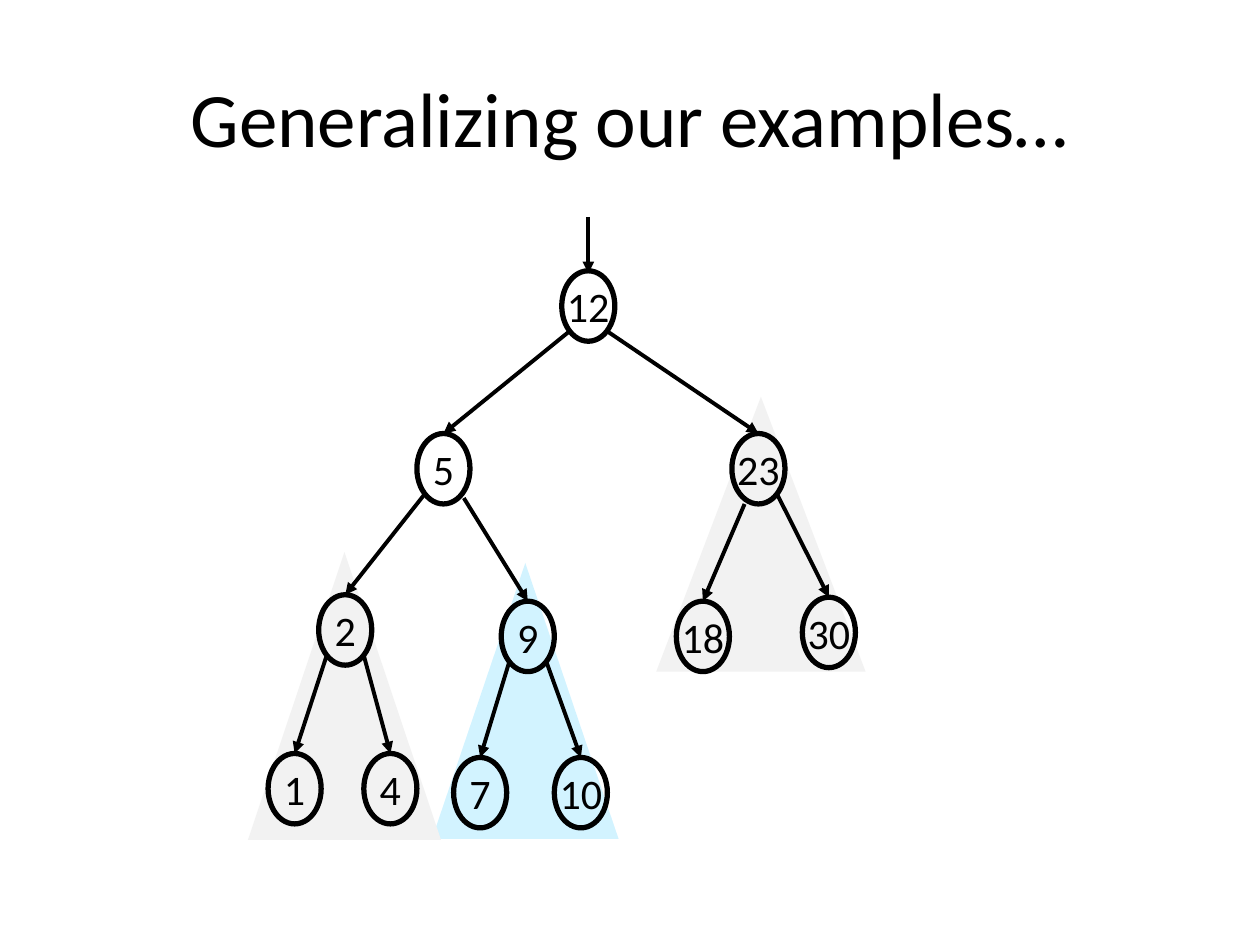
import pptx
import pptx.util
import pptx.dml.color
import pptx.enum.shapes
import pptx.enum.text
import pptx.oxml
import pptx.oxml.ns
from pptx.util import Cm

FONT = "Calibri"
BLACK, GREY, BLUE = "000000", "F2F2F2", "D2F3FF"
NODE_WIDTH, NODE_HEIGHT = 1.07, 1.42
START_X, START_Y = 0.37, 1.21

SUBTREES = [
    (13.23, 8.0, 4.22, 5.54, GREY),
    (8.71, 11.35, 3.76, 5.56, BLUE),
    (5.0, 11.13, 3.89, 5.8, GREY),
]
NODES = {
    "12": (11.86, 5.46),
    "5": (8.94, 8.74),
    "23": (15.29, 8.74),
    "2": (6.96, 11.99),
    "9": (10.64, 12.12),
    "18": (14.17, 12.12),
    "30": (16.71, 12.04),
    "1": (5.94, 15.19),
    "4": (7.87, 15.19),
    "7": (9.68, 15.27),
    "10": (11.71, 15.27),
}
CHILDREN = {
    "12": ("5", "23"),
    "5": ("2", "9"),
    "23": ("18", "30"),
    "2": ("1", "4"),
    "9": ("7", "10"),
}
EDGE_STARTS = {"9": (0.41, 1.3), "18": (0.28, 1.42)}


def color(value):
    """Return the colour for a hex string."""
    return pptx.dml.color.RGBColor.from_string(value)


def apply_format(target, values):
    """Set each named attribute of the target."""
    for name, value in values.items():
        setattr(target, name, value)


def write_text(shape, text, size):
    """Write one centred black paragraph into a shape."""
    para = shape.text_frame.paragraphs[0]
    para.alignment = pptx.enum.text.PP_ALIGN.CENTER
    span = para.add_run()
    span.text = text
    apply_format(span.font, {"name": FONT, "size": pptx.util.Pt(size), "bold": False})
    span.font.color.rgb = color(BLACK)


def set_title(page, text):
    """Place and fill the title placeholder."""
    title = page.shapes.title
    apply_format(title, {"left": Cm(1.27), "top": Cm(0.76),
                         "width": Cm(22.86), "height": Cm(3.18)})
    title.text_frame.vertical_anchor = pptx.enum.text.MSO_ANCHOR.MIDDLE
    write_text(title, text, 44)


def add_subtree(page, left, top, width, height, fill):
    """Add a borderless triangle behind a subtree."""
    triangle = page.shapes.add_shape(
        pptx.enum.shapes.MSO_SHAPE.ISOSCELES_TRIANGLE,
        Cm(left), Cm(top), Cm(width), Cm(height))
    triangle.shadow.inherit = False
    triangle.fill.solid()
    triangle.fill.fore_color.rgb = color(fill)
    triangle.line.fill.background()


def add_node(tree, label, center, top):
    """Add an outlined oval holding a key."""
    node = tree.shapes.add_shape(
        pptx.enum.shapes.MSO_SHAPE.OVAL, Cm(center - NODE_WIDTH / 2), Cm(top),
        Cm(NODE_WIDTH), Cm(NODE_HEIGHT))
    node.shadow.inherit = False
    node.fill.background()
    node.line.color.rgb = color(BLACK)
    node.line.width = pptx.util.Pt(3)
    apply_format(node.text_frame, {
        "word_wrap": False, "vertical_anchor": pptx.enum.text.MSO_ANCHOR.MIDDLE})
    write_text(node, label, 24)


def add_arrow(tree, start, end):
    """Add a straight line with an arrowhead at its end."""
    arrow = tree.shapes.add_connector(
        pptx.enum.shapes.MSO_CONNECTOR.STRAIGHT, *map(Cm, start + end))
    arrow.line.color.rgb = color(BLACK)
    arrow.line.width = pptx.util.Pt(2.25)
    head = pptx.oxml.parse_xml(
        f'<a:tailEnd {pptx.oxml.ns.nsdecls("a")} type="triangle"/>')
    arrow.line._get_or_add_ln().append(head)
    arrow._element.spPr.append(
        pptx.oxml.parse_xml(f'<a:effectLst {pptx.oxml.ns.nsdecls("a")}/>'))


def add_edges(tree, parent, children):
    """Join a parent to the tops of its left and right children."""
    x, y = NODES[parent]
    for side, child in zip((-1, 1), children):
        across, down = EDGE_STARTS.get(child, (START_X, START_Y))
        add_arrow(tree, (x + side * across, y + down), NODES[child])


def main():
    """Build the slide and save the deck."""
    deck = pptx.Presentation()
    apply_format(deck, {"slide_width": Cm(25.4), "slide_height": Cm(19.05)})
    page = deck.slides.add_slide(deck.slide_layouts.get_by_name("Title Only"))
    set_title(page, "Generalizing our examples…")
    for subtree in SUBTREES:
        add_subtree(page, *subtree)
    tree = page.shapes.add_group_shape()
    for label, (center, top) in NODES.items():
        add_node(tree, label, center, top)
    for parent, children in CHILDREN.items():
        add_edges(tree, parent, children)
    root_x, root_y = NODES["12"]
    add_arrow(tree, (root_x, root_y - 1.09), (root_x, root_y + 0.05))
    deck.save("out.pptx")


if __name__ == "__main__":
    main()
